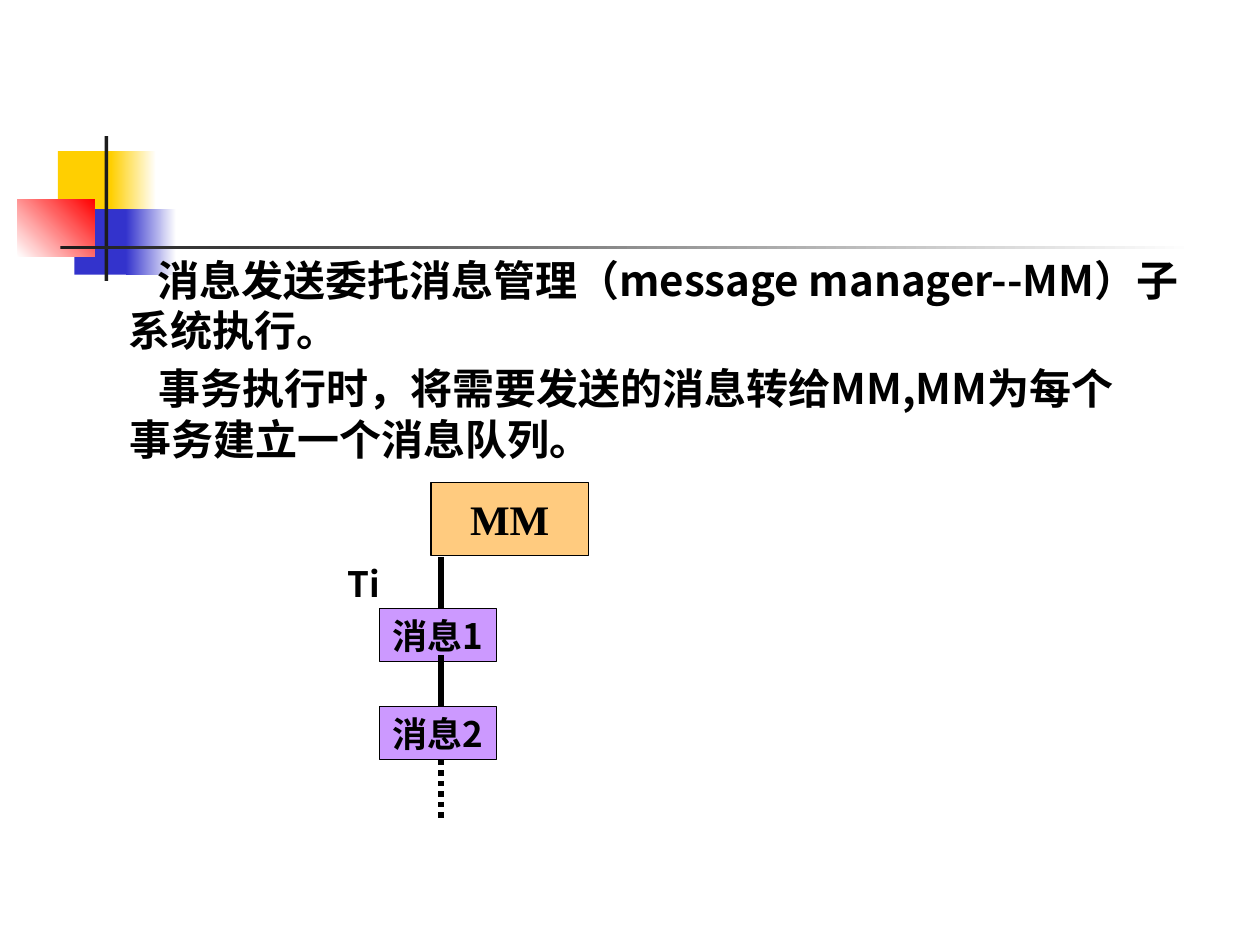
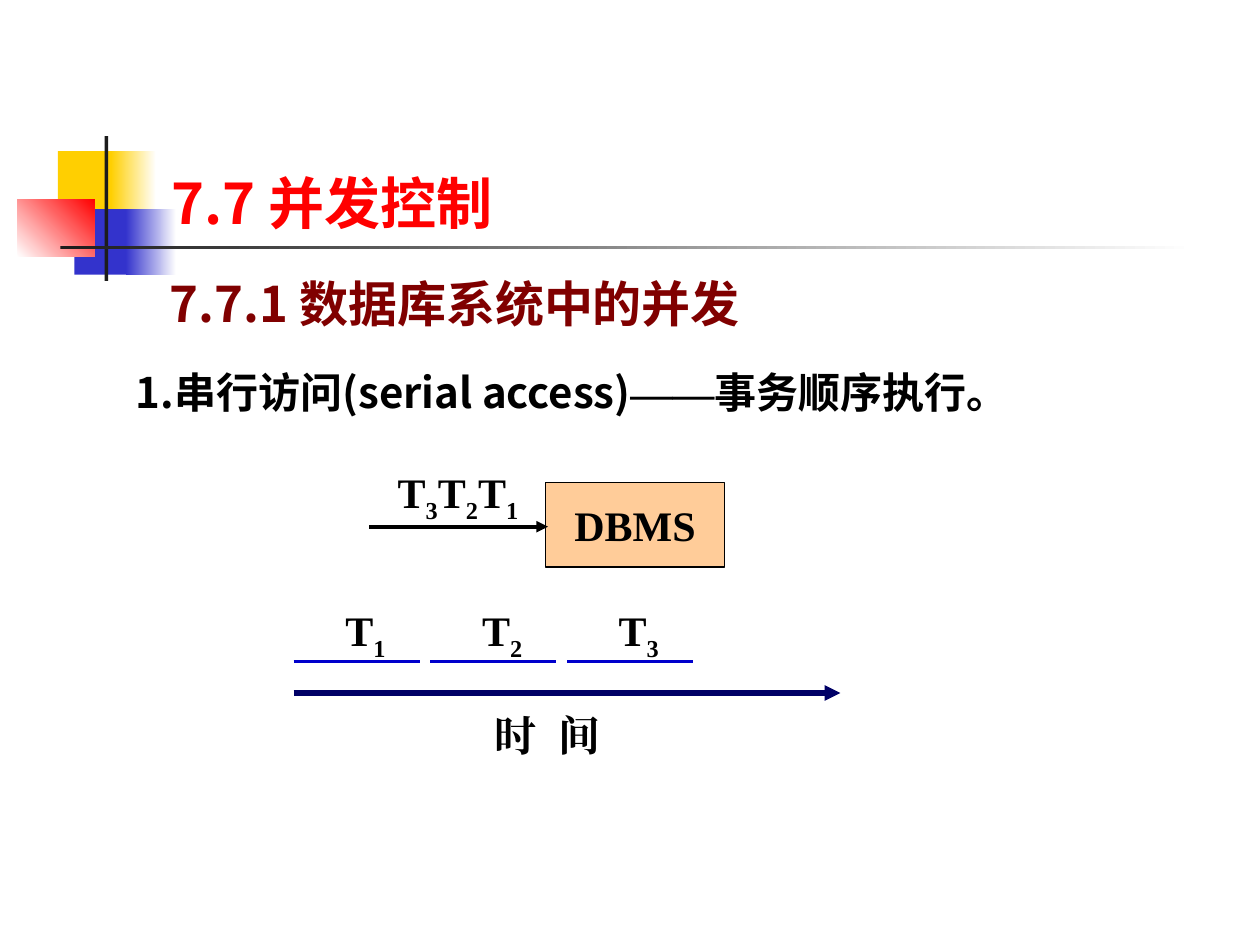
from lxml import etree
from pptx import Presentation
from pptx import util as u
from pptx.dml.color import RGBColor
from pptx.enum import dml, shapes, text
from pptx.oxml import ns

HUE = {
    "ink": "000000", "white": "FFFFFF", "gold": "FFCF01", "blue": "3333CC",
    "red": "FF0000", "dark": "1C1C1C", "amber": "FF9900", "peach": "FFCC99",
    "lilac": "CC99FF", "wine": "800000", "navy": "000066", "span": "0000CC",
}
SANS, SERIF = "Noto Sans CJK SC", "Times New Roman"

BAND = [
    ((0.46, 1.2, 0.48, 0.52), "gold", None, 0),
    ((0.88, 1.2, 0.36, 0.52), "gold", "white", 0),
    ((0.59, 1.66, 0.46, 0.52), "blue", None, 0),
    ((1, 1.66, 0.4, 0.52), "blue", "white", 0),
    ((0.14, 1.58, 0.61, 0.46), "white", "red", 45),
    ((0.83, 1.08, 0.03, 1.15), "dark", None, 0),
    ((0.48, 1.95, 9, 0.03), "dark", "white", 0),
]
NOTES = [
    ((0.92, 1.97, 8.58, 0.9), "消息发送委托消息管理（message manager--MM）子系统执行。"),
    ((0.93, 2.83, 8.33, 0.9), "事务执行时，将需要发送的消息转给MM,MM为每个事务建立一个消息队列。"),
]
QUEUE = ["消息1", "消息2"]
TITLE = "7.7 并发控制"
HEAD = "7.7.1 数据库系统中的并发"
POINT = [("1.串行访问(serial access)", {}), ("——", {"name": SERIF}), ("事务顺序执行。", {})]
TIME = [("时", {}), (" ", {"spc": 600}), ("间", {})]
TASKS = ["1", "2", "3"]

BASE = {"name": SANS, "size": 24, "bold": True, "hue": "ink"}
FRAME = {"word_wrap": True, "vertical_anchor": text.MSO_ANCHOR.TOP}
LABEL = {"word_wrap": False, "vertical_anchor": text.MSO_ANCHOR.MIDDLE}
MID = text.PP_ALIGN.CENTER


def tint(fill, hue):
    fill.solid()
    fill.fore_color.rgb = RGBColor.from_string(HUE[hue])


def sub(node, tag, **vals):
    return etree.SubElement(node, ns.qn(tag), vals)


def style(run, fmt):
    fmt = {**BASE, **fmt}
    font = run.font
    tint(font.fill, fmt.pop("hue"))
    props = run._r.get_or_add_rPr()
    for key in ("spc", "baseline"):
        if key in fmt:
            props.set(key, str(fmt.pop(key)))
    fmt["size"] = u.Pt(fmt["size"])
    for key, val in fmt.items():
        setattr(font, key, val)
    sub(props, "a:ea", typeface=fmt["name"])


def write(shape, runs, fmt=None, frame=FRAME, align=None, indent=0):
    body = shape.text_frame
    for key, val in frame.items():
        setattr(body, key, val)
    para = body.paragraphs[0]
    para.alignment = align
    if indent:
        para._p.get_or_add_pPr().set("indent", str(u.Inches(indent)))
    for words, more in [(runs, {})] if isinstance(runs, str) else runs:
        run = para.add_run()
        run.text = words
        style(run, {**(fmt or {}), **more})


def note(slide, at, runs, fmt=None, **opts):
    write(slide.shapes.add_textbox(*map(u.Inches, at)), runs, fmt, **opts)


def rect(slide, at, hue, edge=None):
    box = slide.shapes.add_shape(shapes.MSO_SHAPE.RECTANGLE, *map(u.Inches, at))
    box.shadow.inherit = False
    tint(box.fill, hue)
    if edge:
        tint(box.line.fill, edge)
        box.line.width = u.Pt(0.75)
    else:
        box.line.fill.background()
    return box


def node(slide, at, hue, words, fmt):
    box = rect(slide, at, hue, "ink")
    write(box, words, fmt, LABEL, MID)
    return box


def line(slide, start, end, hue="ink", width=3, dash=None, arrow=False):
    link = slide.shapes.add_connector(
        shapes.MSO_CONNECTOR.STRAIGHT, *map(u.Inches, start + end))
    tint(link.line.fill, hue)
    link.line.width = u.Pt(width)
    if dash:
        link.line.dash_style = dash
    props = link._element.spPr
    if arrow:
        sub(props.find(ns.qn("a:ln")), "a:tailEnd", type="triangle")
    sub(props, "a:effectLst")


def page(deck):
    slide = deck.slides.add_slide(deck.slide_layouts[6])
    for at, hue, fade, turn in BAND:
        box = rect(slide, at, hue)
        if fade:
            box.fill.gradient()
            box.fill.gradient_angle = turn
            for stop, name in zip(box.fill.gradient_stops, (hue, fade)):
                stop.color.rgb = RGBColor.from_string(HUE[name])
    return slide


def task(mark):
    return [("T", {}), (mark, {"baseline": -25000})]


def queue(deck):
    slide = page(deck)
    for at, words in NOTES:
        note(slide, at, words, indent=0.23)
    hub = node(slide, (3.42, 3.83, 1.25, 0.58), "amber", "MM", {"name": SERIF})
    color = hub._element.spPr.find(ns.qn("a:solidFill"))[0]
    sub(color, "a:alpha", val="50000")
    small = {"size": 20}
    note(slide, (2.42, 4.42, 0.93, 0.42), "Ti", small, frame=LABEL, align=MID)
    x, top, step, tall = 3.5, 4.83, 0.78, 0.42
    for i, words in enumerate(QUEUE):
        y = top + i * step
        line(slide, (x, y - 0.41), (x, y))
        node(slide, (3.01, y, 0.93, tall), "lilac", words, small)
    y += tall
    line(slide, (x, y), (x, y + 0.5), dash=dml.MSO_LINE.ROUND_DOT)


def serial(deck):
    slide = page(deck)
    low = {**FRAME, "vertical_anchor": text.MSO_ANCHOR.BOTTOM}
    note(slide, (1.26, 0.67, 8.52, 1.25), TITLE, {"size": 32, "hue": "red"}, frame=low)
    note(slide, (1.25, 2.12, 5.75, 0.56), HEAD, {"size": 28, "hue": "wine"})
    note(slide, (0.98, 2.86, 8.08, 0.5), POINT)
    serif = {"name": SERIF}
    node(slide, (4.33, 3.83, 1.42, 0.67), "peach", "DBMS", serif)
    line(slide, (2.93, 4.18), (4.35, 4.18), width=2.25, arrow=True)
    feed = [run for mark in reversed(TASKS) for run in task(mark)]
    note(slide, (3.01, 3.64, 1.25, 0.58), feed, serif, frame=LABEL, align=MID)
    left, step, y = 2.33, 1.085, 5.25
    line(slide, (left, 5.5), (6.67, 5.5), "navy", arrow=True)
    note(slide, (3.83, 5.58, 1.58, 0.5), TIME, serif)
    slim = {**FRAME, "word_wrap": False}
    for i, mark in enumerate(TASKS):
        x = left + i * step
        line(slide, (x, y), (x + 1, y), "span", 2.25)
        note(slide, (x + 0.31, y - 0.5, 0.52, 0.56), task(mark), serif, frame=slim, align=MID)


def main():
    deck = Presentation()
    deck.slide_width, deck.slide_height = u.Inches(10), u.Inches(7.5)
    queue(deck)
    serial(deck)
    deck.save("out.pptx")


if __name__ == "__main__":
    main()
